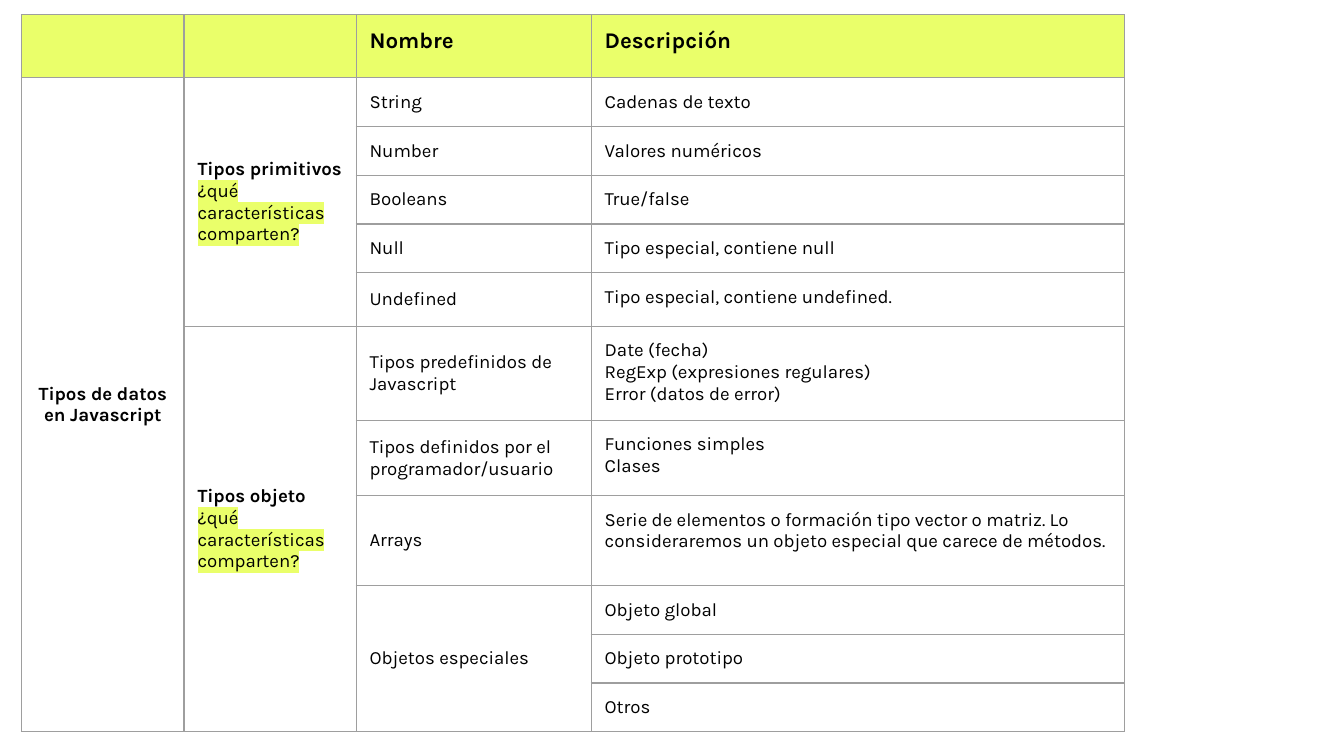
"""Build a slide with a table of the JavaScript data types."""
from dataclasses import dataclass

from lxml import etree
from pptx import Presentation
from pptx.dml.color import RGBColor
from pptx.enum.text import MSO_ANCHOR, PP_ALIGN
from pptx.oxml.ns import qn
from pptx.util import Inches, Pt

TOP, MIDDLE = MSO_ANCHOR.TOP, MSO_ANCHOR.MIDDLE
LEFT, CENTER = PP_ALIGN.LEFT, PP_ALIGN.CENTER


@dataclass(frozen=True)
class Theme:
    font: str = "Karla"
    ink: str = "000000"
    lime: str = "EAFF6A"
    rule: str = "9E9E9E"
    rule_width: float = 0.75
    heading: int = 12
    body: int = 10


theme = Theme()


def write(cell, *paragraphs, size=theme.body, bold=False, marked="", anchor=TOP, align=LEFT):
    """Fill a cell; the run equal to `marked` is highlighted and not bold."""
    cell.vertical_anchor = anchor
    cell.margin_left = cell.margin_right = Inches(0.1)
    cell.margin_top = cell.margin_bottom = Inches(0.1)
    frame = cell.text_frame
    for number, runs in enumerate(paragraphs):
        paragraph = frame.add_paragraph() if number else frame.paragraphs[0]
        paragraph.alignment = align
        for text in [runs] if isinstance(runs, str) else runs:
            run = paragraph.add_run()
            run.text = text
            run.font.size = Pt(size)
            run.font.bold = bold and text != marked
            run.font.color.rgb = RGBColor.from_string(theme.ink)
            if text == marked:
                highlight = etree.Element(qn("a:highlight"))
                etree.SubElement(highlight, qn("a:srgbClr"), val=theme.lime)
                run.font._element.find(qn("a:solidFill")).addnext(highlight)
            run.font.name = theme.font


def add_borders(cell):
    """Draw the four sides of a cell."""
    properties = cell._tc.get_or_add_tcPr()
    for position, side in enumerate(("a:lnL", "a:lnR", "a:lnT", "a:lnB")):
        line = etree.Element(qn(side), w=str(Pt(theme.rule_width)))
        fill = etree.SubElement(line, qn("a:solidFill"))
        etree.SubElement(fill, qn("a:srgbClr"), val=theme.rule)
        properties.insert(position, line)


COLUMN_WIDTHS = [1.21, 1.28, 1.75, 3.97]
ROW_HEIGHTS = [0.47] + [0.36] * 4 + [0.4, 0.7, 0.56, 0.67] + [0.36] * 3
QUESTION = "¿qué características comparten?"
TYPES = [
    ("String", ["Cadenas de texto"]),
    ("Number", ["Valores numéricos"]),
    ("Booleans", ["True/false"]),
    ("Null", ["Tipo especial, contiene null"]),
    ("Undefined", ["Tipo especial, contiene undefined."]),
    ("Tipos predefinidos de Javascript",
     ["Date (fecha)", "RegExp (expresiones regulares)", "Error (datos de error)"]),
    ("Tipos definidos por el programador/usuario", ["Funciones simples", "Clases"]),
    ("Arrays", ["Serie de elementos o formación tipo vector o matriz. "
                "Lo consideraremos un objeto especial que carece de métodos."]),
    ("Objetos especiales", ["Objeto global"]),
    ("", ["Objeto prototipo"]),
    ("", ["Otros"]),
]
MERGES = [(1, 11, 0), (1, 5, 1), (6, 11, 1), (9, 11, 2)]

presentation = Presentation()
presentation.slide_width = Inches(10)
presentation.slide_height = Inches(10 * 9 / 16)
slide = presentation.slides.add_slide(presentation.slide_layouts[6])

types_table = slide.shapes.add_table(
    len(ROW_HEIGHTS), len(COLUMN_WIDTHS), Inches(0.16), Inches(0.11),
    Inches(sum(COLUMN_WIDTHS)), Inches(sum(ROW_HEIGHTS))).table
types_table.first_row = types_table.horz_banding = False
for column, width in zip(types_table.columns, COLUMN_WIDTHS):
    column.width = Inches(width)
for row, height in zip(types_table.rows, ROW_HEIGHTS):
    row.height = Inches(height)

for row_number, row in enumerate(types_table.rows):
    for cell in row.cells:
        if row_number == 0:
            cell.fill.solid()
            cell.fill.fore_color.rgb = RGBColor.from_string(theme.lime)
        else:
            cell.fill.background()
        add_borders(cell)

for first, last, column in MERGES:
    types_table.cell(first, column).merge(types_table.cell(last, column))

for column, heading in enumerate(("Nombre", "Descripción"), start=2):
    write(types_table.cell(0, column), heading, size=theme.heading, bold=True)
write(types_table.cell(1, 0), "Tipos de datos en Javascript",
      bold=True, anchor=MIDDLE, align=CENTER)
write(types_table.cell(1, 1), "Tipos primitivos", QUESTION,
      bold=True, marked=QUESTION, anchor=MIDDLE)
write(types_table.cell(6, 1), ["Tipos objeto ", QUESTION],
      bold=True, marked=QUESTION, anchor=MIDDLE)
for row_number, (name, description) in enumerate(TYPES, start=1):
    if name:
        write(types_table.cell(row_number, 2), name, anchor=MIDDLE)
    write(types_table.cell(row_number, 3), *description)

presentation.save("out.pptx")
